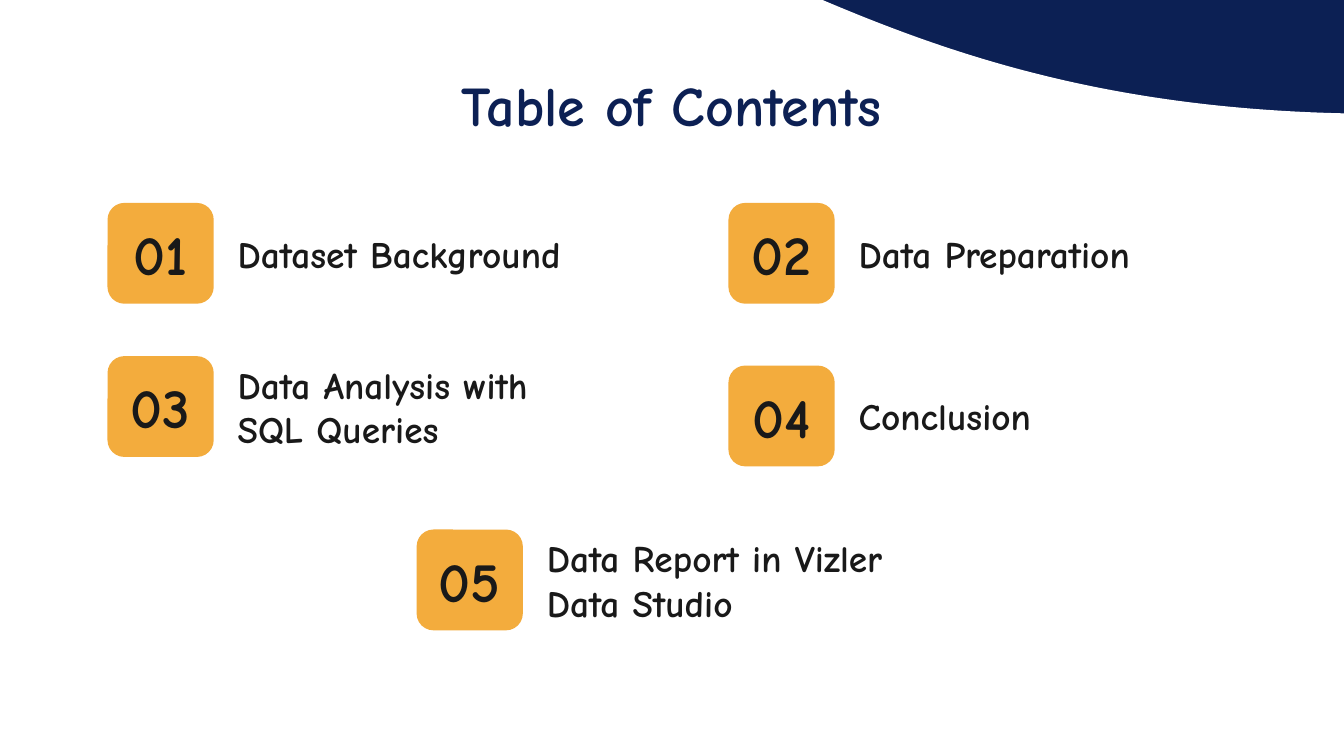
from pptx import Presentation
from pptx import util as u
from pptx.dml.color import RGBColor
from pptx.enum import shapes, text

COLOURS = {"navy": "0C2054", "white": "FFFFFF", "amber": "F3AC3D", "ink": "191919"}
FONT = "Comic Neue"
WIDTH = 10
HEIGHT = WIDTH * 9 / 16

# Grid of the contents entries, in inches
COLUMNS = (0.8, 3.1, 5.42)
ROWS = (1.51, 2.65, 2.72, 3.94)
TILE_WIDTH, TILE_HEIGHT = 0.79, 0.75
LABEL_OFFSET = 0.87

# Number, label, grid column, grid row, label width
ENTRIES = [
    ("01", "Dataset Background", 0, 0, 2.94),
    ("02", "Data Preparation", 2, 0, 2.78),
    ("03", "Data Analysis with SQL Queries", 0, 1, 2.64),
    ("04", "Conclusion", 2, 2, 2.94),
    ("05", "Data Report in Vizler Data Studio", 1, 3, 2.94),
]


def colour(name):
    return RGBColor.from_string(COLOURS[name])


def inches(*lengths):
    return [u.Inches(length) for length in lengths]


def set_values(target, values):
    for name, value in values.items():
        setattr(target, name, value)


def write_text(shape, words, size, ink, align):
    frame = shape.text_frame
    margins = {f"margin_{side}": u.Inches(0.1) for side in ("left", "top", "right", "bottom")}
    set_values(frame, {"word_wrap": True, "vertical_anchor": text.MSO_ANCHOR.MIDDLE, **margins})
    paragraph = frame.paragraphs[0]
    paragraph.alignment = align
    run = paragraph.add_run()
    run.text = words
    set_values(run.font, {"name": FONT, "size": u.Pt(size), "bold": True})
    run.font.color.rgb = colour(ink)


def add_panel(slide, kind, box, fill):
    shape = slide.shapes.add_shape(kind, *inches(*box))
    shape.shadow.inherit = False
    shape.fill.solid()
    shape.fill.fore_color.rgb = colour(fill)
    shape.line.fill.background()
    return shape


def add_label(slide, box, words, size, ink, align=text.PP_ALIGN.LEFT):
    label = slide.shapes.add_textbox(*inches(*box))
    write_text(label, words, size, ink, align)


def add_backdrop(slide):
    # White page with a wavy upper edge over a navy background
    slide.background.fill.solid()
    slide.background.fill.fore_color.rgb = colour("navy")
    page = add_panel(slide, shapes.MSO_SHAPE.FLOWCHART_DOCUMENT,
                     (-0.28, -1.17, 10.57, 10.18), "white")
    page.rotation = 180
    page._element.spPr.xfrm.set("flipH", "1")


def add_entry(slide, number, words, column, row, label_width):
    left, top = COLUMNS[column], ROWS[row]
    tile = add_panel(slide, shapes.MSO_SHAPE.ROUNDED_RECTANGLE,
                     (left, top, TILE_WIDTH, TILE_HEIGHT), "amber")
    write_text(tile, number, 30, "ink", text.PP_ALIGN.CENTER)
    add_label(slide, (left + LABEL_OFFSET, top, label_width, TILE_HEIGHT), words, 20, "ink")


def main():
    presentation = Presentation()
    set_values(presentation, {"slide_width": u.Inches(WIDTH), "slide_height": u.Inches(HEIGHT)})
    slide = presentation.slides.add_slide(presentation.slide_layouts[6])

    add_backdrop(slide)

    # Heading, centred on the slide
    heading_width = 4.31
    add_label(slide, ((WIDTH - heading_width) / 2, 0.44, heading_width, 0.67),
              "Table of Contents", 30, "navy", text.PP_ALIGN.CENTER)

    # Numbered entries
    for entry in ENTRIES:
        add_entry(slide, *entry)

    presentation.save("out.pptx")


if __name__ == "__main__":
    main()
